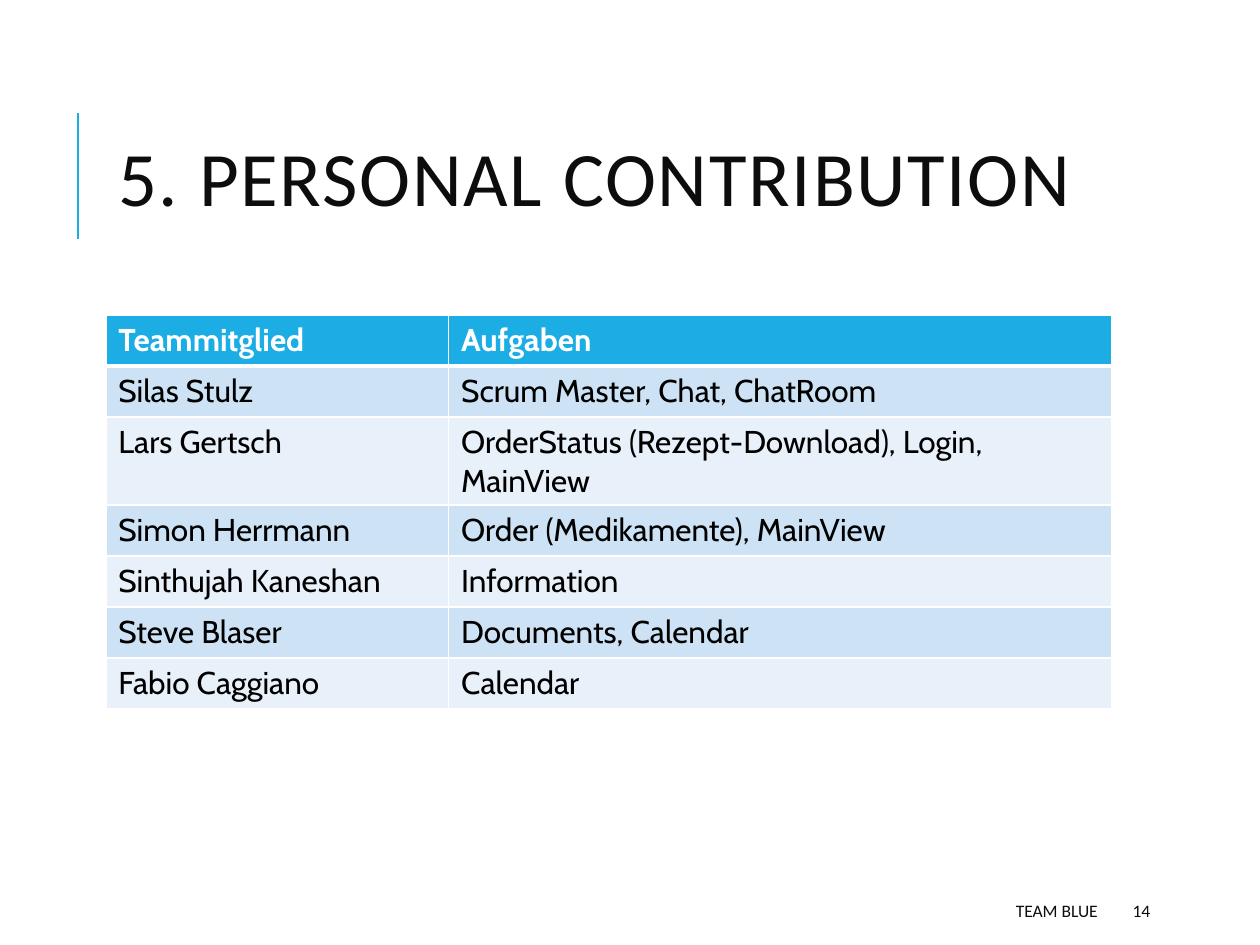
"""Build the personal contribution slide with its task table."""
from lxml.etree import SubElement
from pptx import Presentation
from pptx.dml.color import RGBColor
from pptx.enum.shapes import MSO_CONNECTOR as Connector
from pptx.enum.text import MSO_ANCHOR as Anchor, PP_ALIGN as Align
from pptx.oxml.ns import qn
from pptx.util import Inches, Pt

ACCENT, INK, WHITE, BLACK = "1CADE4", "0D0D0D", "FFFFFF", "000000"
BANDS = ("CDE3F5", "E8F1FA")
COLUMN_WIDTHS = (2.72, 5.26)
ROW_HEIGHT = 0.405
CONTRIBUTIONS = [
    ("Teammitglied", "Aufgaben"),
    ("Silas Stulz", "Scrum Master, Chat, ChatRoom"),
    ("Lars Gertsch", "OrderStatus (Rezept-Download), Login, MainView"),
    ("Simon Herrmann", "Order (Medikamente), MainView"),
    ("Sinthujah Kaneshan", "Information"),
    ("Steve Blaser", "Documents, Calendar"),
    ("Fabio Caggiano", "Calendar"),
]


def color(value):
    return RGBColor.from_string(value)


def style_font(font, name, size, ink, bold=False):
    font.name, font.size, font.bold = name, Pt(size), bold
    font.color.rgb = color(ink)


def add_label(slide, text, box, size, align=Align.LEFT):
    frame = slide.shapes.add_textbox(*map(Inches, box)).text_frame
    frame.word_wrap = True
    frame.vertical_anchor = Anchor.MIDDLE
    frame.text = text
    line = frame.paragraphs[0]
    line.alignment = align
    style_font(line.runs[0].font, "Calibri", size, INK)
    return line


def add_title(slide, text):
    title = add_label(slide, text, (0.84, 0.64, 7.97, 1.64), 44)
    title.line_spacing = 0.8
    title.runs[0].font._element.set("spc", "100")


def add_rule(slide, start, end):
    rule = slide.shapes.add_connector(Connector.STRAIGHT, *map(Inches, start + end))
    rule.line.color.rgb = color(ACCENT)
    rule.line.width = Pt(1.5)
    SubElement(rule._element.spPr, qn("a:effectLst"))


def add_borders(cell, widths):
    properties = cell._tc.get_or_add_tcPr()
    for side, width in zip(("lnL", "lnR", "lnT", "lnB"), widths):
        border = SubElement(properties, qn(f"a:{side}"), w=str(Pt(width)))
        fill = SubElement(border, qn("a:solidFill"))
        SubElement(fill, qn("a:srgbClr"), val=WHITE)


def fill_cell(cell, text, row):
    header = row == 0
    add_borders(cell, (1, 1, 3 if row == 1 else 1, 3 if header else 1))
    cell.fill.solid()
    cell.fill.fore_color.rgb = color(ACCENT if header else BANDS[(row - 1) % 2])
    cell.text_frame.text = text
    font = cell.text_frame.paragraphs[0].runs[0].font
    style_font(font, "Cabin", 18, WHITE if header else BLACK, header)


def add_contributions(slide):
    rows = len(CONTRIBUTIONS)
    box = (0.84, 2.5, sum(COLUMN_WIDTHS), rows * ROW_HEIGHT)
    table = slide.shapes.add_table(rows, len(COLUMN_WIDTHS), *map(Inches, box)).table
    for column, width in zip(table.columns, COLUMN_WIDTHS):
        column.width = Inches(width)
    for row, entry in enumerate(CONTRIBUTIONS):
        table.rows[row].height = Inches(ROW_HEIGHT)
        for column, text in enumerate(entry):
            fill_cell(table.cell(row, column), text, row)


def main():
    deck = Presentation()
    deck.slide_width, deck.slide_height = Inches(10), Inches(7.5)
    slide = deck.slides.add_slide(deck.slide_layouts[6])
    add_rule(slide, (0.62, 1.9), (0.62, 0.9))
    add_title(slide, "5. PERSONAL CONTRIBUTION")
    add_contributions(slide)
    add_label(slide, "14", (8.89, 7.08, 0.8, 0.3), 10)
    add_label(slide, "TEAM BLUE", (3.97, 7.08, 4.84, 0.3), 10, Align.RIGHT)
    deck.save("out.pptx")


main()
